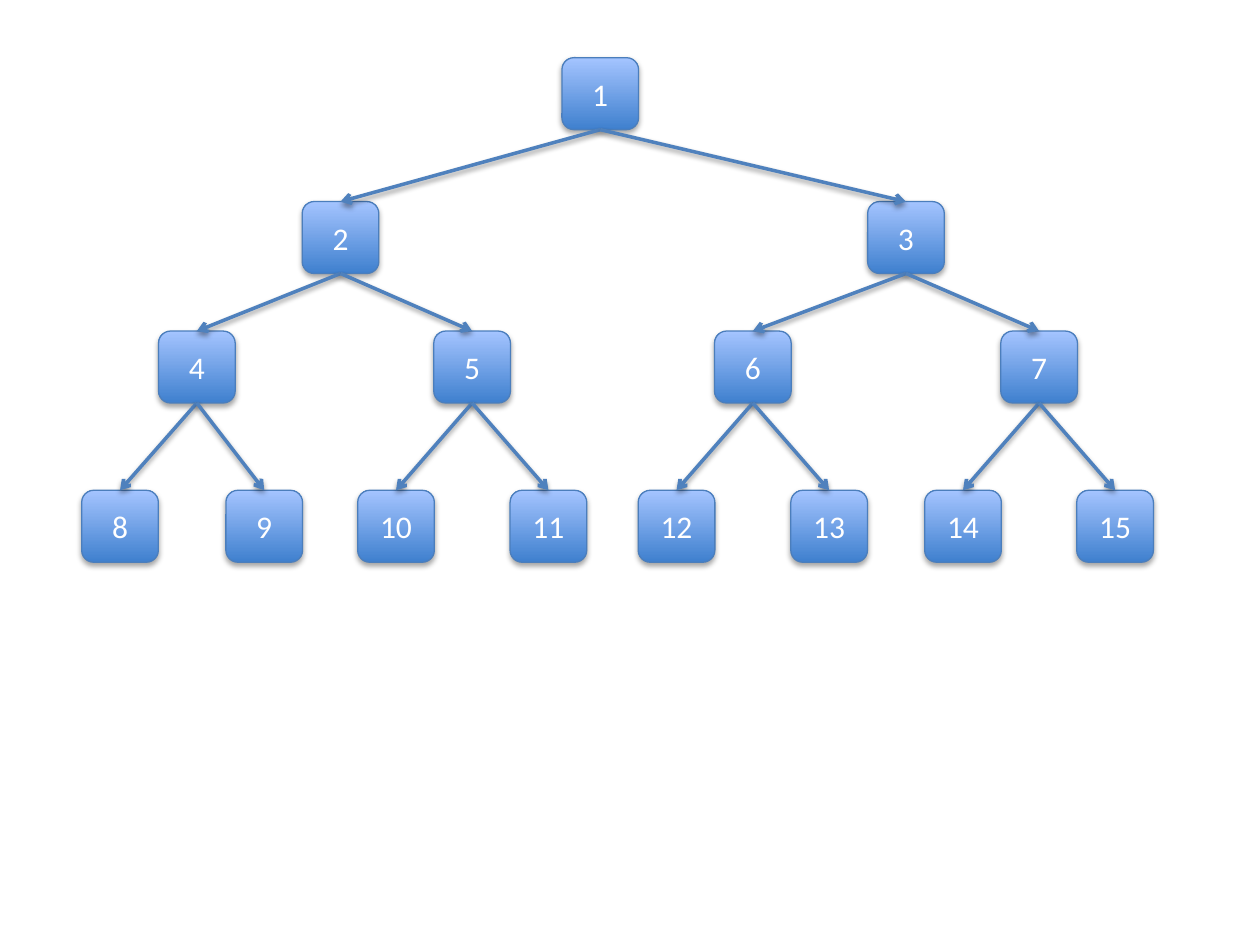
from lxml import etree
from pptx import Presentation
from pptx.dml.color import RGBColor
from pptx.enum import shapes, text
from pptx.oxml import ns
from pptx.util import Pt

DARK = RGBColor(0x3F, 0x80, 0xCE)
LIGHT = RGBColor(0xA4, 0xC4, 0xFF)
EDGE = RGBColor(0x4B, 0x7E, 0xBC)
ARROW = RGBColor(0x4F, 0x81, 0xBD)
WHITE = RGBColor(0xFF, 0xFF, 0xFF)
WIDTH, HEIGHT = 43.8, 41.1
ROWS = [
    (33, [343]),
    (115.2, [194.6, 517.7]),
    (189.2, [112.5, 269.8, 430.2, 593.8]),
    (280.2, [68.6, 151, 226.3, 313.4, 386.6, 473.8, 550.3, 637.2]),
]


def add_tag(parent, tag, **attrs):
    """Append a drawing element with the given attributes."""
    return etree.SubElement(parent, ns.qn(tag), attrs)


def add_shade(shape, dist, alpha):
    """Give a shape a soft shadow straight below it."""
    effect = add_tag(shape._element.spPr, "a:effectLst")
    shade = add_tag(effect, "a:outerShdw", blurRad=str(Pt(3.1)),
                    dist=str(Pt(dist)), dir="5400000", rotWithShape="0")
    color = add_tag(shade, "a:srgbClr", val="000000")
    add_tag(color, "a:alpha", val=str(alpha * 1000))


def add_node(slide, label, center, top):
    """Draw a numbered tree node and return it."""
    node = slide.shapes.add_shape(
        shapes.MSO_SHAPE.ROUNDED_RECTANGLE,
        Pt(center - WIDTH / 2), Pt(top), Pt(WIDTH), Pt(HEIGHT))
    node.fill.gradient()
    node.fill.gradient_angle = 90
    for stop, color in zip(node.fill.gradient_stops, (DARK, LIGHT)):
        stop.color.rgb = color
    for stop, place in zip(node.fill.gradient_stops, (0, 1)):
        stop.position = place
    node.line.color.rgb = EDGE
    node.line.width = Pt(0.75)
    add_shade(node, 1.8, 35)
    frame = node.text_frame
    frame.text = str(label)
    frame.vertical_anchor = text.MSO_ANCHOR.MIDDLE
    para = frame.paragraphs[0]
    para.alignment = text.PP_ALIGN.CENTER
    font = para.runs[0].font
    font.name, font.size = "Calibri", Pt(18)
    font.color.rgb = WHITE
    return node


def add_arrow(slide, parent, child):
    """Link the bottom of a parent to the top of its child."""
    arrow = slide.shapes.add_connector(shapes.MSO_CONNECTOR.STRAIGHT, 0, 0, 0, 0)
    arrow.begin_connect(parent, 2)
    arrow.end_connect(child, 0)
    arrow.line.color.rgb = ARROW
    arrow.line.width = Pt(2)
    add_tag(arrow._element.spPr.find(ns.qn("a:ln")), "a:tailEnd", type="arrow")
    add_shade(arrow, 1.6, 38)


def main():
    """Build the binary tree slide."""
    deck = Presentation()
    deck.slide_width, deck.slide_height = Pt(720), Pt(540)
    slide = deck.slides.add_slide(deck.slide_layouts[6])
    spots = [(center, top) for top, centers in ROWS for center in centers]
    nodes = [add_node(slide, label, *spot)
             for label, spot in enumerate(spots, 1)]
    for index in range(1, len(nodes)):
        add_arrow(slide, nodes[(index - 1) // 2], nodes[index])
    deck.save("out.pptx")


main()
